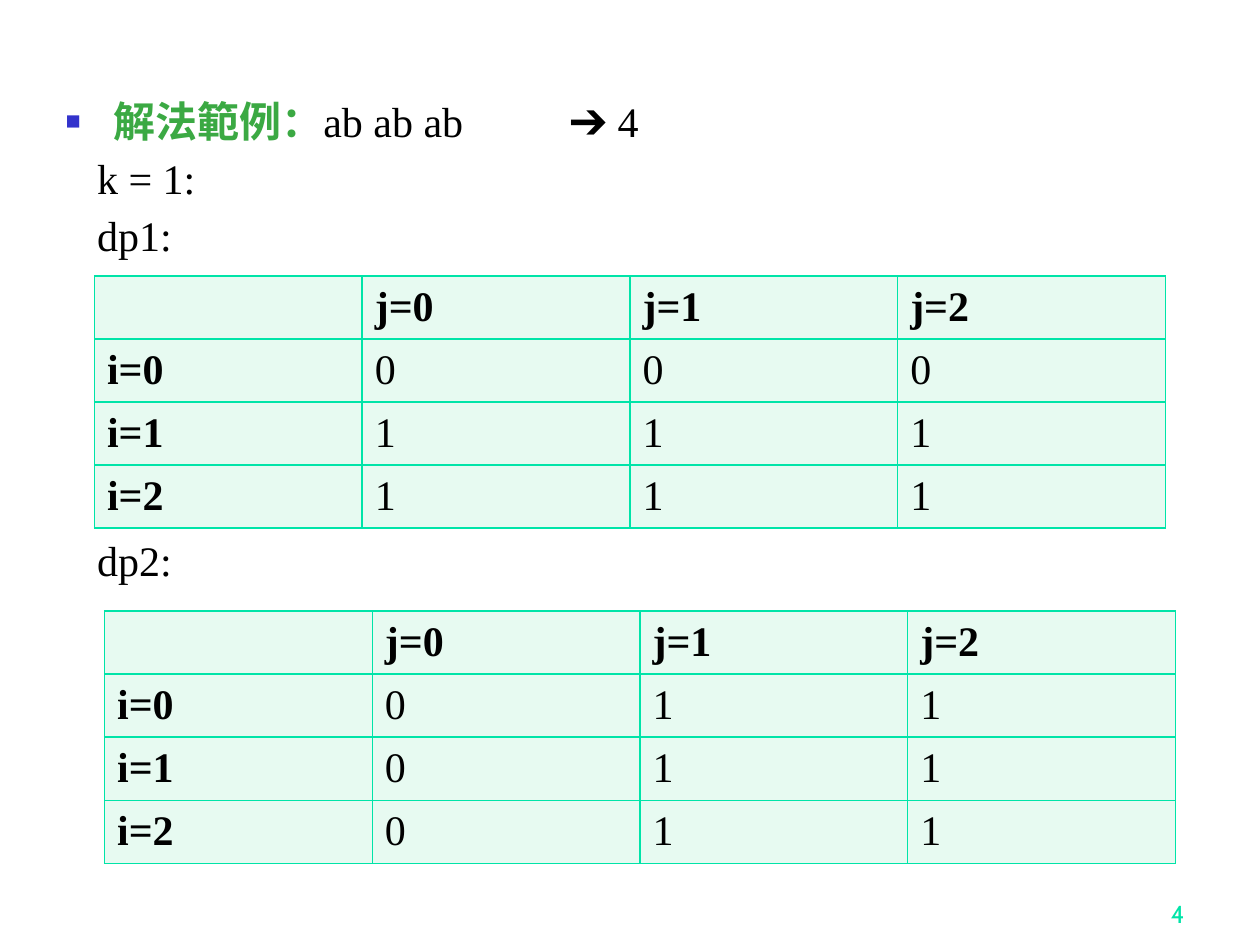
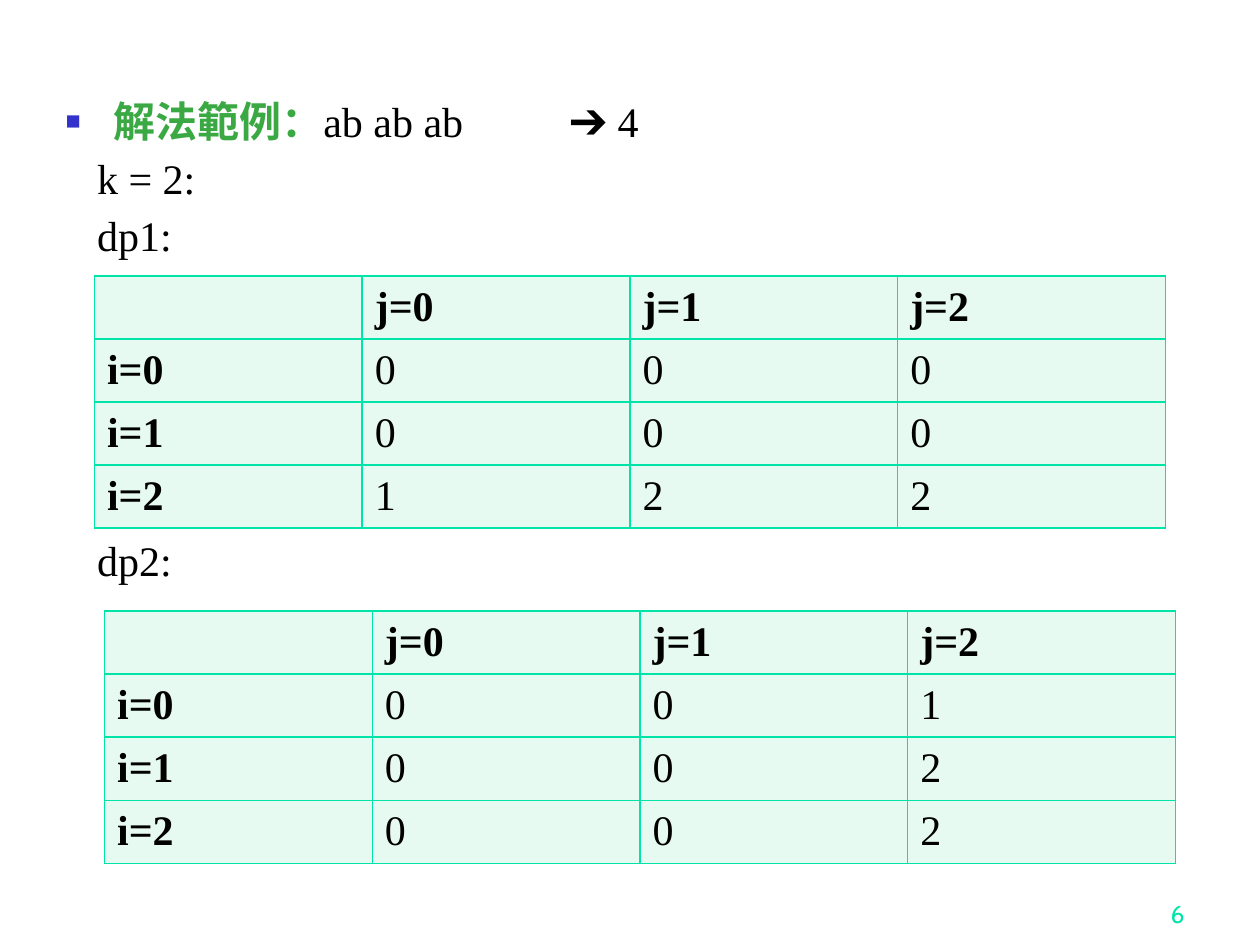
from lxml import etree
from pptx import Presentation
from pptx.dml.color import RGBColor
from pptx.enum.text import MSO_ANCHOR, MSO_AUTO_SIZE, PP_ALIGN
from pptx.oxml.ns import qn
from pptx.util import Inches, Pt

MIDDLE, BOTTOM = MSO_ANCHOR.MIDDLE, MSO_ANCHOR.BOTTOM
TOP = MSO_ANCHOR.TOP
RIGHT, LEFT = PP_ALIGN.RIGHT, PP_ALIGN.LEFT
NO_AUTOFIT = MSO_AUTO_SIZE.NONE

BLACK = RGBColor(0x00, 0x00, 0x00)
WHITE = RGBColor(0xFF, 0xFF, 0xFF)
HEADING_GREEN = RGBColor(0x3B, 0xA9, 0x43)
BULLET_BLUE = RGBColor(0x33, 0x33, 0xCC)
MINT = RGBColor(0x00, 0xE4, 0xA8)
CELL_FILL = RGBColor(0xE7, 0xFA, 0xF1)

BODY_FONT, NUMBER_FONT = "Times New Roman", "Cabin"
BODY_SIZE = 24
LINE_GAP = 6.72
DP2_GAP = 160  # leaves room for the dp1 table
ROW_HEIGHT = 0.47

# Page number, k, and the rows of each dp table
STEPS = [
    (4, 1, ["000", "111", "111"], ["011", "011", "011"]),
    (6, 2, ["000", "000", "122"], ["001", "002", "002"]),
]


def add_element(parent, tag, **attributes):
    element = etree.SubElement(parent, qn(tag))
    for name, value in attributes.items():
        element.set(name, str(value))
    return element


class Deck:
    def __init__(self):
        self.presentation = Presentation()
        self.presentation.slide_width = Inches(10)
        self.presentation.slide_height = Inches(7.5)
        self.slide = None

    def new_slide(self):
        layout = self.presentation.slide_layouts[1]
        self.slide = self.presentation.slides.add_slide(layout)
        fill = self.slide.background.fill
        fill.solid()
        fill.fore_color.rgb = WHITE
        title = self.slide.shapes.title
        title.element.getparent().remove(title.element)

    def add_run(self, paragraph, text, color=BLACK, bold=False,
                font=BODY_FONT, size=BODY_SIZE):
        run = paragraph.add_run()
        run.text = text
        run.font.name = font
        run.font.size = Pt(size)
        run.font.bold = bold
        run.font.color.rgb = color

    def format_paragraph(self, paragraph, margin, indent, bullet=False):
        properties = paragraph._p.get_or_add_pPr()
        properties.set("marL", str(Inches(margin)))
        properties.set("indent", str(Inches(indent)))
        if bullet:
            bullet_color = add_element(properties, "a:buClr")
            add_element(bullet_color, "a:srgbClr", val=BULLET_BLUE)
            add_element(properties, "a:buSzPct", val=60000)
            add_element(properties, "a:buFont", typeface=BODY_FONT)
            add_element(properties, "a:buChar", char="■")
            tabs = add_element(properties, "a:tabLst")
            add_element(tabs, "a:tab", pos=Inches(4), algn="l")
        else:
            add_element(properties, "a:buNone")
        paragraph.alignment = LEFT
        paragraph.line_spacing = 0.9
        paragraph.space_before = Pt(0)

    def add_body(self, lines):
        body = self.slide.placeholders[1]
        body.left, body.top = Inches(0.42), Inches(0.75)
        body.width, body.height = Inches(8.83), Inches(6.15)
        frame = body.text_frame
        frame.auto_size = NO_AUTOFIT
        frame.vertical_anchor = TOP
        # Example heading
        heading = frame.paragraphs[0]
        self.format_paragraph(heading, 0.38, -0.38, bullet=True)
        self.add_run(heading, "解法範例：", HEADING_GREEN, bold=True)
        self.add_run(heading, "ab ab ab\t➔ 4")
        # Labels of the step and its tables
        for text, gap in lines:
            paragraph = frame.add_paragraph()
            self.format_paragraph(paragraph, 0.25, 0)
            paragraph.space_before = Pt(gap)
            self.add_run(paragraph, text)

    def format_cell(self, cell):
        properties = cell._tc.get_or_add_tcPr()
        for side in ("a:lnL", "a:lnR", "a:lnT", "a:lnB"):
            line = add_element(properties, side, w=Pt(1))
            line_fill = add_element(line, "a:solidFill")
            add_element(line_fill, "a:srgbClr", val=MINT)
        cell.fill.solid()
        cell.fill.fore_color.rgb = CELL_FILL
        cell.vertical_anchor = MIDDLE

    def add_dp_table(self, left, top, values):
        rows = [["", "j=0", "j=1", "j=2"]]
        rows += [[f"i={i}", *row] for i, row in enumerate(values)]
        table = self.slide.shapes.add_table(
            len(rows), len(rows[0]), Inches(left), Inches(top),
            Inches(8.5), Inches(ROW_HEIGHT * len(rows))).table
        table.first_row = table.horz_banding = False
        for i, row in enumerate(rows):
            for j, text in enumerate(row):
                cell = table.cell(i, j)
                self.format_cell(cell)
                if text:
                    self.add_run(cell.text_frame.paragraphs[0], text,
                                 bold=i == 0 or j == 0)

    def add_page_number(self, number):
        box = self.slide.shapes.add_textbox(
            Inches(7.42), Inches(6.92), Inches(2.08), Inches(0.5))
        frame = box.text_frame
        frame.word_wrap = True
        frame.vertical_anchor = BOTTOM
        paragraph = frame.paragraphs[0]
        paragraph.alignment = RIGHT
        self.add_run(paragraph, str(number), MINT, font=NUMBER_FONT, size=14)


def main():
    deck = Deck()
    for page, k, dp1, dp2 in STEPS:
        deck.new_slide()
        deck.add_page_number(page)
        deck.add_body([(f"k = {k}:", LINE_GAP), ("dp1:", LINE_GAP),
                       ("dp2:", DP2_GAP)])
        deck.add_dp_table(0.75, 2.19, dp1)
        deck.add_dp_table(0.83, 4.85, dp2)
    deck.presentation.save("out.pptx")


if __name__ == "__main__":
    main()
